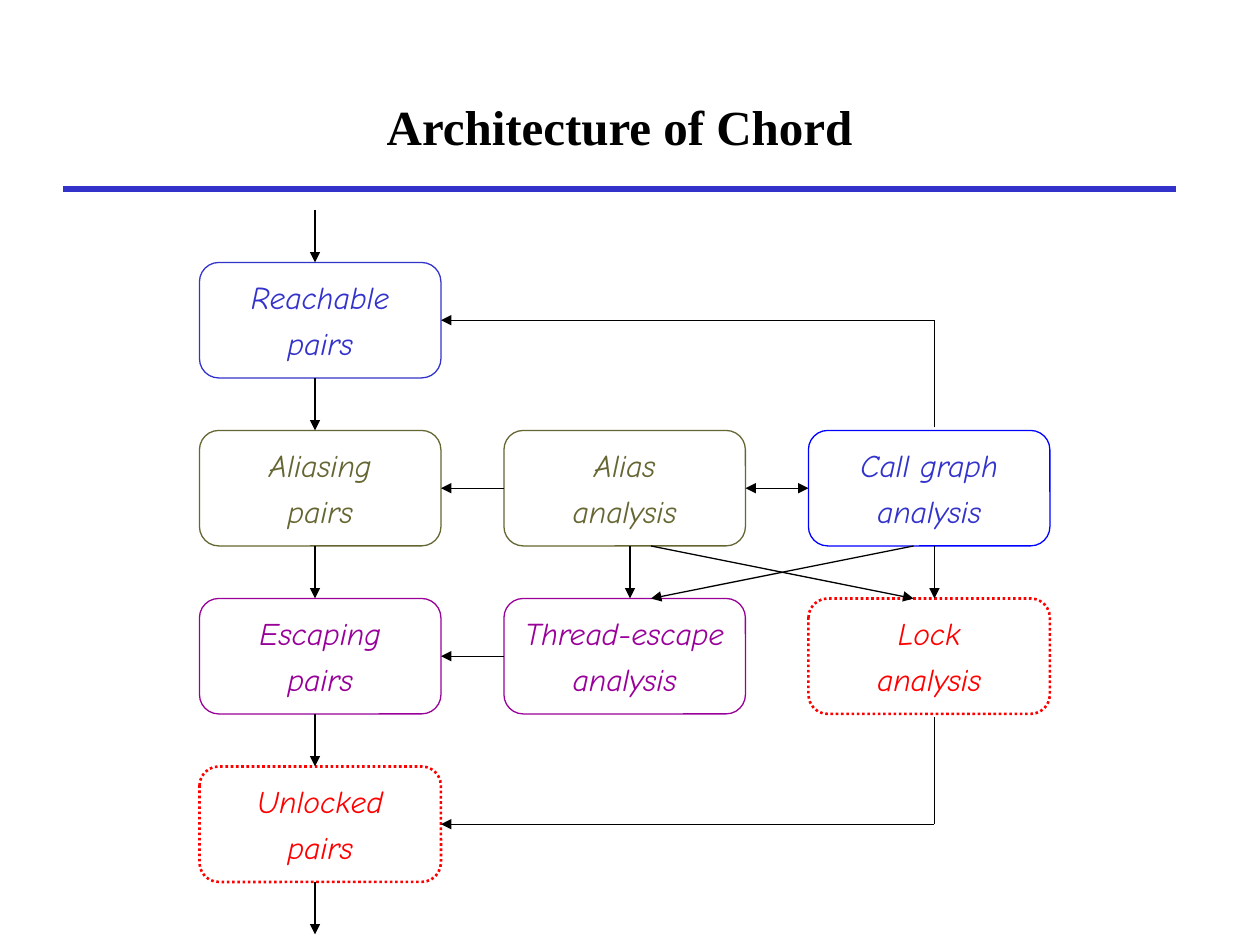
"""Build the slide showing the architecture of Chord as a flow of analyses."""
from pptx import Presentation
from pptx.dml.color import RGBColor
from pptx.enum.dml import MSO_LINE
from pptx.enum.shapes import MSO_CONNECTOR, MSO_SHAPE
from pptx.enum.text import MSO_ANCHOR, PP_ALIGN
from pptx.oxml.ns import qn
from pptx.util import Pt
from lxml import etree

STRAIGHT = MSO_CONNECTOR.STRAIGHT
ROUNDED = MSO_SHAPE.ROUNDED_RECTANGLE
DOTTED = MSO_LINE.ROUND_DOT
MIDDLE, CENTER = MSO_ANCHOR.MIDDLE, PP_ALIGN.CENTER
LEFT, RIGHT = 1, 3
EMU_PER_PX = 7620

BLUE, BRIGHT_BLUE, OLIVE = "3333CC", "0000FF", "666633"
PURPLE, RED, BLACK = "990099", "FF0000", "000000"

TITLE = "Architecture of Chord"
BOXES = [
    ("Reachable", "pairs", 0, 0, BLUE, BLUE),
    ("Aliasing", "pairs", 0, 1, OLIVE, OLIVE),
    ("Escaping", "pairs", 0, 2, PURPLE, PURPLE),
    ("Unlocked", "pairs", 0, 3, RED, RED),
    ("Alias", "analysis", 1, 1, OLIVE, OLIVE),
    ("Call graph", "analysis", 2, 1, BLUE, BRIGHT_BLUE),
    ("Thread-escape", "analysis", 1, 2, PURPLE, PURPLE),
    ("Lock", "analysis", 2, 2, RED, RED),
]
SIDE_ARROWS = [
    ("Alias", "Aliasing", False),
    ("Call graph", "Alias", True),
    ("Thread-escape", "Escaping", False),
]
LEFT_X, TOP_Y, BOX_W, BOX_H = 190, 250, 230, 110
PITCH_X, PITCH_Y = 290, 160
GAP_Y = PITCH_Y - BOX_H
FLOW_X = [300, 600, 890]
CROSS_X = [620, 870]
BENDS = [("Reachable", 305, 407), ("Unlocked", 785, 683)]


def px(n):
    return round(n * EMU_PER_PX)


def color(value):
    return RGBColor.from_string(value)


def style_text(p, size, font, value, bold=False, italic=False):
    p.alignment = CENTER
    for r in p.runs:
        f = r.font
        f.size, f.name, f.bold, f.italic = Pt(size), font, bold, italic
        f.color.rgb = color(value)


def add_box(s, first, second, col, row, text_color, line_color):
    sp = s.shapes.add_shape(ROUNDED, px(LEFT_X + col * PITCH_X),
                            px(TOP_Y + row * PITCH_Y), px(BOX_W), px(BOX_H))
    sp.shadow.inherit = False
    sp.fill.background()
    sp.line.color.rgb = color(line_color)
    sp.line.width = Pt(0.75)
    if line_color == RED:
        sp.line.width = Pt(1.5)
        sp.line.dash_style = DOTTED
    tf = sp.text_frame
    tf.word_wrap = False
    tf.vertical_anchor = MIDDLE
    tf.text = f"{first}\n{second}"
    for p in tf.paragraphs:
        p.space_before = Pt(4.5)
        style_text(p, 18, "Comic Neue", text_color, italic=True)
    return sp


def add_line(s, x1, y1, x2, y2, ends=(), value=BLACK, width=0.75):
    line = s.shapes.add_connector(STRAIGHT, px(x1), px(y1), px(x2), px(y2))
    line.line.color.rgb = color(value)
    line.line.width = Pt(width)
    ln = line.line._get_or_add_ln()
    for end in ends:
        etree.SubElement(ln, qn(f"a:{end}"), type="triangle")
    etree.SubElement(line._element.spPr, qn("a:effectLst"))
    return line


def main():
    prs = Presentation()
    prs.slide_width, prs.slide_height = px(1200), px(900)
    s = prs.slides.add_slide(prs.slide_layouts[5])
    add_line(s, 60, 180, 1120, 180, value=BLUE, width=3)

    title = s.shapes.title
    title.left, title.top, title.width, title.height = px(60), px(60), px(1060), px(120)
    title.text_frame.text = TITLE
    title.text_frame.vertical_anchor = MIDDLE
    style_text(title.text_frame.paragraphs[0], 28, "Times New Roman", BLACK, bold=True)

    boxes = {box[0]: add_box(s, *box) for box in BOXES}

    flows = [(0, row) for row in range(5)] + [(1, 2), (2, 2)]
    for col, row in flows:
        bottom = TOP_Y + row * PITCH_Y
        add_line(s, FLOW_X[col], bottom - GAP_Y, FLOW_X[col], bottom, ["tailEnd"])

    cross_bottom = TOP_Y + 2 * PITCH_Y
    for start, end in (CROSS_X, CROSS_X[::-1]):
        add_line(s, start, cross_bottom - GAP_Y, end, cross_bottom, ["tailEnd"])

    for source, target, two_way in SIDE_ARROWS:
        ends = ["headEnd", "tailEnd"] if two_way else ["tailEnd"]
        arrow = add_line(s, 0, 0, 0, 0, ends)
        arrow.begin_connect(boxes[source], LEFT)
        arrow.end_connect(boxes[target], RIGHT)

    for target, y, start_y in BENDS:
        add_line(s, FLOW_X[2], start_y, FLOW_X[2], y)
        arrow = add_line(s, FLOW_X[2], y, LEFT_X + BOX_W, y, ["tailEnd"])
        arrow.end_connect(boxes[target], RIGHT)

    prs.save("out.pptx")


if __name__ == "__main__":
    main()
